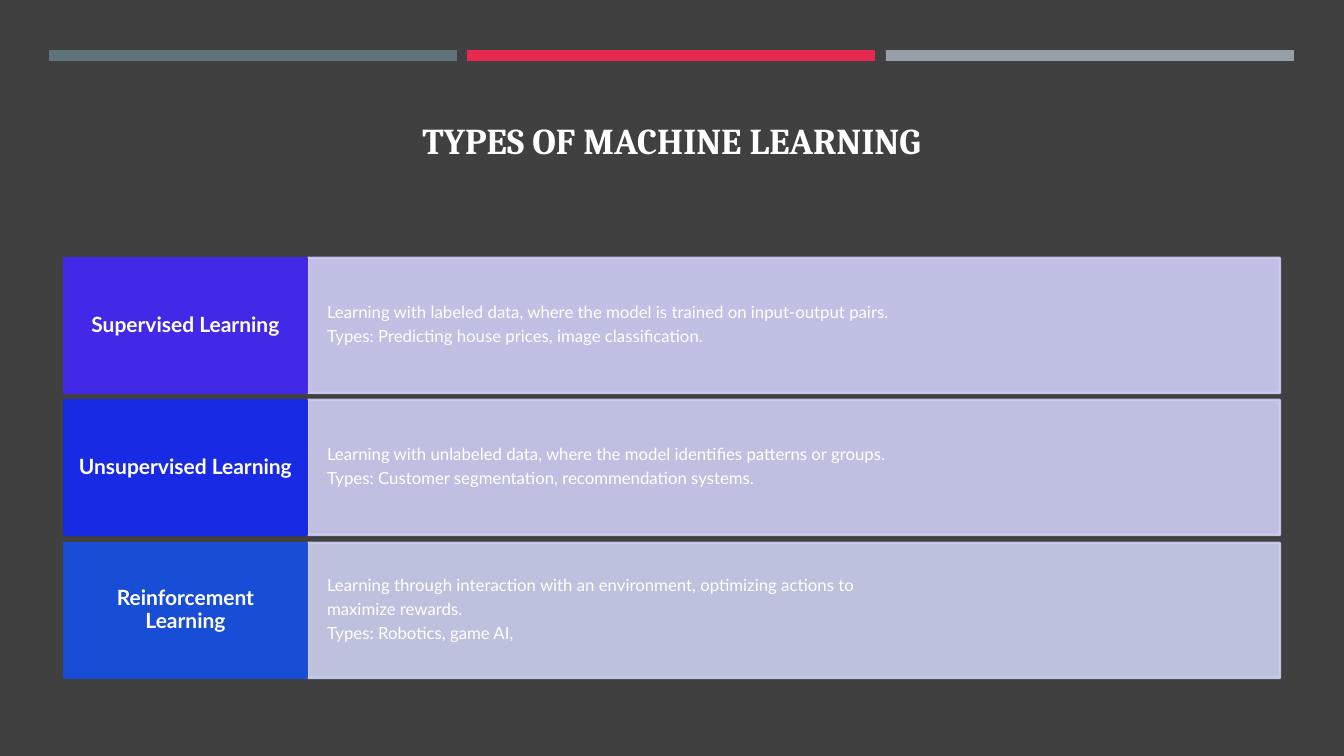
"""Build the slide on the types of machine learning."""
from dataclasses import dataclass

from lxml import etree
from pptx import Presentation
from pptx import util as u
from pptx.dml.color import RGBColor
from pptx.enum import shapes, text
from pptx.oxml.ns import qn

EMU_PER_PX = 914400 / 100.8


@dataclass(frozen=True)
class Theme:
    """Hold the colours, fonts and type sizes of the slide."""
    background: str = "404040"
    ink: str = "FFFFFF"
    bars: tuple = ("60727A", "E72950", "969FA7")
    labels: tuple = ("4129E7", "192AE5", "174ED5")
    panels: tuple = ("CFCDF6", "CDCEF3", "CCD0EF")
    panel_opacity: int = 90
    title_font: str = "Cambria"
    body_font: str = "Lato"
    title_size: int = 26
    label_size: int = 15
    body_size: int = 12
    outline: float = 1.75
    line_spacing: float = 0.9
    space_after: float = 0.35


THEME = Theme()

LEARNING_TYPES = (
    ("Supervised Learning", (
        "Learning with labeled data, where the model is trained on input-output pairs.",
        "Types: Predicting house prices, image classification.",
    )),
    ("Unsupervised Learning", (
        "Learning with unlabeled data, where the model identifies patterns or groups.",
        "Types: Customer segmentation, recommendation systems.",
    )),
    ("Reinforcement Learning", (
        "Learning through interaction with an environment, optimizing actions to",
        "maximize rewards.",
        "Types: Robotics, game AI,",
    )),
)


def px(length):
    """Turn pixels into EMU."""
    return u.Emu(round(length * EMU_PER_PX))


def set_opacity(fill, percent):
    """Make a solid fill partly transparent."""
    color = fill._xPr.find(qn("a:solidFill"))[0]
    etree.SubElement(color, qn("a:alpha"), val=str(percent * 1000))


def add_run(paragraph, words, font, size, bold=False):
    """Add one formatted run to a paragraph."""
    run = paragraph.add_run()
    run.text = words
    run.font.name = font
    run.font.size = u.Pt(size)
    run.font.bold = bold
    run.font.color.rgb = RGBColor.from_string(THEME.ink)


def add_box(slide, left, top, width, height, color, outlined=False, opacity=100):
    """Add a flat rectangle, with an outline of its own colour if asked."""
    shape = slide.shapes.add_shape(
        shapes.MSO_SHAPE.RECTANGLE, px(left), px(top), px(width), px(height))
    shape.shadow.inherit = False
    fills = [shape.fill]
    if outlined:
        shape.line.width = u.Pt(THEME.outline)
        fills.append(shape.line.fill)
    else:
        shape.line.fill.background()
    for fill in fills:
        fill.solid()
        fill.fore_color.rgb = RGBColor.from_string(color)
        if opacity < 100:
            set_opacity(fill, opacity)
    return shape


def write_lines(shape, lines, size, align, inset_x, inset_y, bold=False):
    """Write one paragraph per line, centred vertically in a shape."""
    frame = shape.text_frame
    frame.word_wrap = True
    frame.vertical_anchor = text.MSO_ANCHOR.MIDDLE
    frame.margin_left = frame.margin_right = px(inset_x)
    frame.margin_top = frame.margin_bottom = px(inset_y)
    for index, line in enumerate(lines):
        paragraph = frame.add_paragraph() if index else frame.paragraphs[0]
        paragraph.alignment = align
        paragraph.line_spacing = THEME.line_spacing
        paragraph.space_after = u.Pt(size * THEME.space_after)
        add_run(paragraph, line, THEME.body_font, size, bold)


def add_title(slide, words):
    """Place and fill the title placeholder."""
    title = slide.shapes.title
    title.left, title.top, title.width, title.height = map(px, (64, 78, 1216, 131))
    frame = title.text_frame
    frame.auto_size = text.MSO_AUTO_SIZE.NONE
    frame.vertical_anchor = text.MSO_ANCHOR.MIDDLE
    frame.margin_bottom = px(12)
    paragraph = frame.paragraphs[0]
    paragraph.alignment = text.PP_ALIGN.CENTER
    add_run(paragraph, words, THEME.title_font, THEME.title_size, bold=True)


def add_bars(slide):
    """Add the row of coloured bars across the top."""
    for index, color in enumerate(THEME.bars):
        add_box(slide, 49 + index * 837 // 2, 50, 408, 11, color)


def add_learning_type(slide, index, name, lines):
    """Add one row: a name on the left and its description on the right."""
    top = 258 + index * 285 // 2
    panel = add_box(slide, 308, top, 972, 135, THEME.panels[index],
                    outlined=True, opacity=THEME.panel_opacity)
    write_lines(panel, lines, THEME.body_size, text.PP_ALIGN.LEFT, 19, 34)
    label = add_box(slide, 64, top, 243, 135, THEME.labels[index], outlined=True)
    write_lines(label, [name], THEME.label_size, text.PP_ALIGN.CENTER, 13, 13, bold=True)


def main():
    """Build and save the presentation."""
    presentation = Presentation()
    presentation.slide_width, presentation.slide_height = px(1344), px(756)
    slide = presentation.slides.add_slide(presentation.slide_layouts[5])
    slide.background.fill.solid()
    slide.background.fill.fore_color.rgb = RGBColor.from_string(THEME.background)
    add_title(slide, "TYPES OF MACHINE LEARNING")
    add_bars(slide)
    for index, (name, lines) in enumerate(LEARNING_TYPES):
        add_learning_type(slide, index, name, lines)
    presentation.save("out.pptx")


if __name__ == "__main__":
    main()
